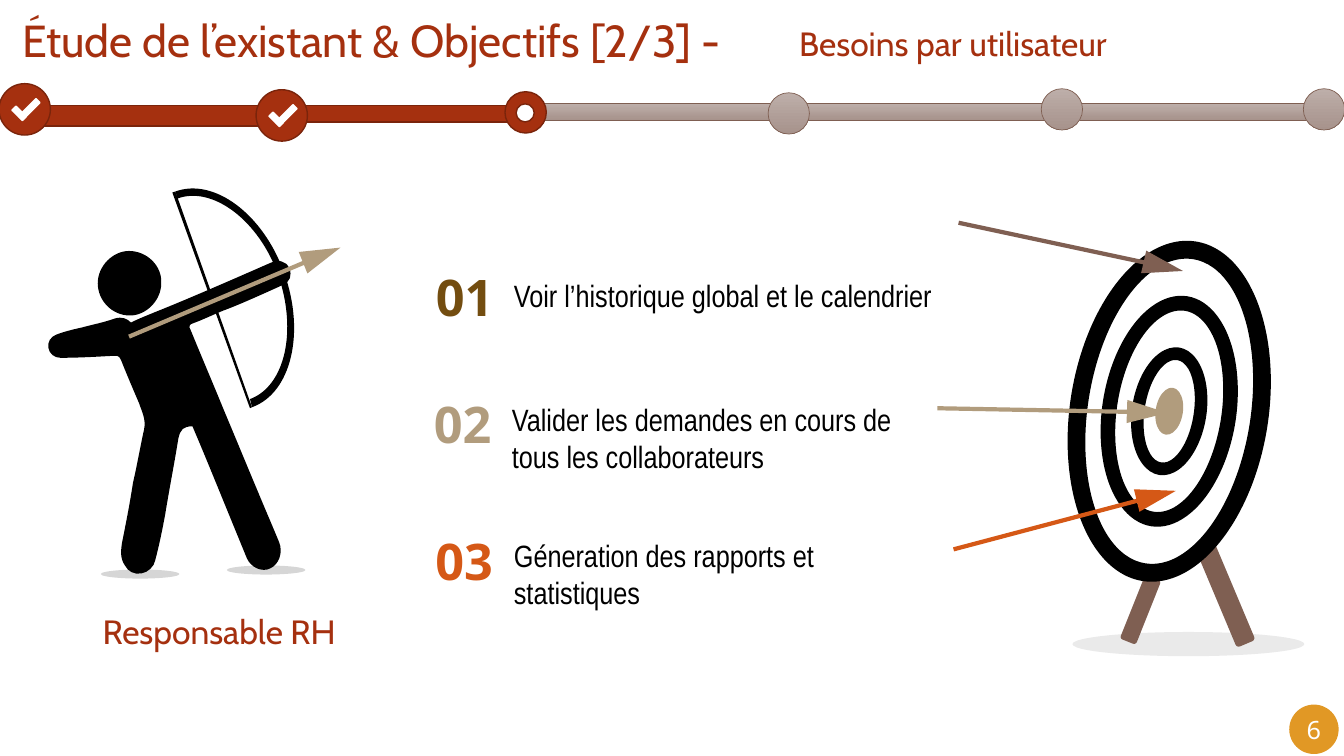
"""Build the slide on human resources manager needs, with an archer, a target and a progress bar."""
from dataclasses import dataclass
from math import atan2, cos, degrees, sin

from pptx import Presentation
from pptx.dml.color import RGBColor
from pptx.enum.shapes import MSO_CONNECTOR, MSO_SHAPE
from pptx.enum.text import MSO_ANCHOR, PP_ALIGN
from pptx.oxml.ns import qn
from pptx.oxml.xmlchemy import OxmlElement
from pptx.util import Inches, Pt

RED, DARK_RED, BROWN, TAN, ORANGE = "A5300F", "7A240B", "7F5F52", "B19C7D", "D55816"
BLACK, WHITE, SHADE = "000000", "FFFFFF", "323232"
GREY_TOP, GREY_BOTTOM = "BDAEA9", "A7938C"


@dataclass(frozen=True)
class Arrow:
    start: tuple[float, float]
    end: tuple[float, float]
    color: str


@dataclass(frozen=True)
class Need:
    number: str
    label: str
    color: str
    number_left: float
    number_top: float
    number_width: float
    label_left: float
    label_top: float
    label_width: float


@dataclass(frozen=True)
class Step:
    left: float
    top: float
    size: float
    state: str


ARCHER_ARROW = Arrow((1.28, 3.34), (3.22, 2.52), TAN)
TARGET_ARROWS = [
    Arrow((9.3, 4.05), (11.41, 4.09), TAN),
    Arrow((9.46, 5.45), (11.5, 4.91), ORANGE),
    Arrow((9.51, 2.21), (11.57, 2.65), BROWN),
]
NEEDS = [
    Need("01", "Voir l’historique global et le calendrier", "734D10", 3.86, 2.59, 1.5, 5, 2.7, 4.62),
    Need("02", "Valider les demandes en cours de tous les collaborateurs", TAN, 3.84, 3.85, 1.5, 4.98, 3.93, 4.23),
    Need("03", "Géneration des rapports et statistiques", ORANGE, 3.96, 5.21, 1.29, 5, 5.28, 4.22),
]
STEPS = [
    Step(-0.01, 0.83, 0.51, "done"),
    Step(2.54, 0.89, 0.51, "done"),
    Step(5.01, 0.91, 0.41, "current"),
    Step(7.62, 0.92, 0.41, "next"),
    Step(10.33, 0.88, 0.41, "next"),
    Step(12.93, 0.88, 0.41, "next"),
]
BODY = [
    (1.91, 4.23), (1.82, 4.23, 1.79, 4.26, 1.77, 4.35), (1.73, 4.6, 1.68, 4.85, 1.64, 5.1),
    (1.61, 5.26, 1.58, 5.41, 1.54, 5.56), (1.53, 5.62, 1.47, 5.68, 1.4, 5.69),
    (1.33, 5.7, 1.27, 5.67, 1.24, 5.61), (1.19, 5.54, 1.2, 5.46, 1.21, 5.39),
    (1.25, 5.19, 1.29, 4.99, 1.32, 4.79), (1.36, 4.62, 1.39, 4.44, 1.43, 4.26),
    (1.45, 4.16, 1.41, 4.09, 1.38, 4), (1.32, 3.86, 1.26, 3.72, 1.2, 3.57),
    (1.18, 3.53, 1.17, 3.53, 1.13, 3.53), (0.95, 3.54, 0.78, 3.55, 0.6, 3.55),
    (0.54, 3.55, 0.49, 3.51, 0.48, 3.45), (0.47, 3.4, 0.5, 3.34, 0.56, 3.32),
    (0.64, 3.29, 0.72, 3.27, 0.81, 3.25), (0.92, 3.22, 1.03, 3.2, 1.14, 3.16),
    (1.21, 3.14, 1.26, 3.16, 1.3, 3.2), (1.38, 3.16, 1.46, 3.13, 1.53, 3.1),
    (1.86, 2.97, 2.36, 2.75, 2.68, 2.61), (2.76, 2.57, 2.84, 2.59, 2.87, 2.66),
    (2.9, 2.73, 2.88, 2.8, 2.8, 2.83), (2.67, 2.89, 2.36, 3.03, 2.22, 3.08),
    (2.12, 3.12, 2.02, 3.17, 1.91, 3.21), (1.88, 3.22, 1.87, 3.24, 1.89, 3.27),
    (2, 3.54, 2.12, 3.82, 2.23, 4.09), (2.34, 4.35, 2.45, 4.62, 2.56, 4.88),
    (2.63, 5.05, 2.7, 5.21, 2.77, 5.38), (2.81, 5.48, 2.77, 5.6, 2.68, 5.64),
    (2.6, 5.68, 2.49, 5.63, 2.45, 5.54), (2.36, 5.32, 2.27, 5.1, 2.18, 4.88),
    (2.09, 4.66, 2, 4.44, 1.91, 4.23),
]
HEAD = [
    (1.6, 2.81), (1.6, 2.98, 1.45, 3.13, 1.29, 3.13), (1.11, 3.13, 0.97, 2.98, 0.97, 2.81),
    (0.97, 2.64, 1.12, 2.49, 1.28, 2.49), (1.46, 2.49, 1.61, 2.64, 1.6, 2.81),
]
BOW = [
    (1.74, 1.9), (1.76, 1.97, 1.76, 1.97, 1.76, 1.97), (2.11, 1.84, 2.57, 2.19, 2.76, 2.73),
    (2.95, 3.28, 2.83, 3.83, 2.48, 3.96), (2.5, 4.04, 2.5, 4.04, 2.5, 4.04),
    (2.89, 3.9, 3.03, 3.3, 2.82, 2.71), (2.61, 2.12, 2.12, 1.76, 1.74, 1.9),
]
BOWSTRING = [(2.48, 4.05), (2.5, 4.04), (1.74, 1.9), (1.71, 1.91), (2.48, 4.05)]


def rgb(color: str) -> RGBColor:
    return RGBColor.from_string(color)


def paint(shape, fill: str, line: str = "", width: float = 1) -> None:
    shape.shadow.inherit = False
    shape.fill.solid()
    shape.fill.fore_color.rgb = rgb(fill)
    if line:
        shape.line.color.rgb = rgb(line)
        shape.line.width = Pt(width)
    else:
        shape.line.fill.background()


def paint_grey(shape) -> None:
    paint(shape, GREY_TOP, BROWN, 0.5)
    shape.fill.gradient()
    shape.fill.gradient_angle = 270
    for stop, color in zip(shape.fill.gradient_stops, (GREY_TOP, GREY_BOTTOM)):
        stop.color.rgb = rgb(color)


def add_shape(page, kind, left: float, top: float, width: float, height: float,
              fill: str, line: str = "", rotation: float = 0):
    shape = page.shapes.add_shape(kind, Inches(left), Inches(top), Inches(width), Inches(height))
    shape.rotation = rotation
    paint(shape, fill, line)
    return shape


def add_ground(page, left: float, top: float, width: float, height: float, opacity: int) -> None:
    ground = add_shape(page, MSO_SHAPE.OVAL, left, top, width, height, SHADE)
    alpha = OxmlElement("a:alpha")
    alpha.set("val", str(opacity * 1000))
    ground.fill._xPr.solidFill.srgbClr.append(alpha)


def add_outline(page, outline: list[tuple]) -> None:
    points = [(Inches(part[i]), Inches(part[i + 1])) for part in outline for i in range(0, len(part), 2)]
    builder = page.shapes.build_freeform(*points[0], scale=1.0)
    builder.add_line_segments(points[1:], close=True)
    shape = builder.convert_to_shape()
    segments = iter(list(shape._element.iter(qn("a:lnTo"))))
    for part in outline[1:]:
        first = next(segments)
        if len(part) == 6:
            curve = OxmlElement("a:cubicBezTo")
            first.addprevious(curve)
            for segment in (first, next(segments), next(segments)):
                curve.append(segment[0])
                segment.getparent().remove(segment)
    paint(shape, BLACK)


def add_arrow(page, arrow: Arrow) -> None:
    (x1, y1), (x2, y2) = arrow.start, arrow.end
    shaft = page.shapes.add_connector(MSO_CONNECTOR.STRAIGHT, Inches(x1), Inches(y1), Inches(x2), Inches(y2))
    shaft.line.color.rgb = rgb(arrow.color)
    shaft.line.width = Pt(3)
    shaft._element.spPr.append(OxmlElement("a:effectLst"))
    angle = atan2(y2 - y1, x2 - x1)
    center_x, center_y = x2 - 0.03 * cos(angle), y2 - 0.03 * sin(angle)
    add_shape(page, MSO_SHAPE.ISOSCELES_TRIANGLE, center_x - 0.115, center_y - 0.2, 0.23, 0.4,
              arrow.color, rotation=degrees(angle) + 90.9)


def write(frame, text: str, size: float, font: str, color: str, align=PP_ALIGN.LEFT, bold: bool = False) -> None:
    frame.word_wrap = True
    para = frame.paragraphs[0]
    para.text = text
    para.alignment = align
    para.font.size, para.font.name, para.font.bold = Pt(size), font, bold
    para.font.color.rgb = rgb(color)


def add_text(page, left: float, top: float, width: float, height: float, *style, **options):
    box = page.shapes.add_textbox(Inches(left), Inches(top), Inches(width), Inches(height))
    write(box.text_frame, *style, **options)
    return box


def add_step(page, step: Step) -> None:
    left, top, size = step.left, step.top, step.size
    disc = add_shape(page, MSO_SHAPE.OVAL if step.state == "done" else MSO_SHAPE.FLOWCHART_CONNECTOR,
                     left, top, size, size, RED, DARK_RED)
    if step.state == "next":
        paint_grey(disc)
    elif step.state == "current":
        add_shape(page, MSO_SHAPE.FLOWCHART_CONNECTOR, left + 0.11, top + 0.12, 0.18, 0.18, WHITE, DARK_RED)
    else:
        add_shape(page, MSO_SHAPE.ROUNDED_RECTANGLE, left + 0.12, top + 0.26, 0.16, 0.07, WHITE, rotation=45)
        add_shape(page, MSO_SHAPE.ROUNDED_RECTANGLE, left + 0.17, top + 0.22, 0.26, 0.07, WHITE, rotation=135)


def add_archer(page) -> None:
    add_ground(page, 1, 5.65, 0.78, 0.09, 20)
    add_ground(page, 2.25, 5.61, 0.78, 0.09, 20)
    for outline in (BODY, HEAD, BOW, BOWSTRING):
        add_outline(page, outline)
    add_arrow(page, ARCHER_ARROW)


def add_target(page) -> None:
    add_ground(page, 10.64, 6.27, 2.3, 0.24, 10)
    add_shape(page, MSO_SHAPE.ROUNDED_RECTANGLE, 12.05, 5.33, 0.2, 1.1, BROWN, rotation=337.2)
    add_shape(page, MSO_SHAPE.ROUNDED_RECTANGLE, 11.23, 5.71, 0.17, 0.68, BROWN, rotation=21.8)
    rings = page.shapes.add_group_shape()
    for width, height, band in ((1.97, 3.41, 0.09), (1.33, 2.31, 0.11), (0.74, 1.28, 0.17), (0.27, 0.47, 0)):
        kind = MSO_SHAPE.DONUT if band else MSO_SHAPE.OVAL
        ring = add_shape(rings, kind, 11.6 - width / 2, 4.08 - height / 2, width, height,
                         BLACK if band else TAN, rotation=8.9)
        if band:
            ring.adjustments[0] = band
    for arrow in TARGET_ARROWS:
        add_arrow(page.shapes.add_group_shape(), arrow)


def add_progress(page) -> None:
    for index in range(3):
        paint_grey(add_shape(page, MSO_SHAPE.FLOWCHART_PROCESS, 5.33 + 2.66 * index, 1.03, 2.38, 0.16, GREY_TOP))
    for left, height in ((0.36, 0.2), (2.8, 0.16)):
        add_shape(page, MSO_SHAPE.FLOWCHART_PROCESS, left, 1.05, 2.38, height, RED, DARK_RED)
    for step in STEPS:
        add_step(page if step.state == "next" else page.shapes.add_group_shape(), step)


def main() -> None:
    deck = Presentation()
    deck.slide_width, deck.slide_height = Inches(40 / 3), Inches(7.5)
    page = deck.slides.add_slide(deck.slide_layouts[6])
    add_archer(page.shapes.add_group_shape())
    add_target(page)
    add_progress(page)
    title = add_text(page, 0.12, 0.07, 8.52, 0.64, "Étude de l’existant & Objectifs [2/3] -", 32, "Cabin", RED)
    title.text_frame.vertical_anchor = MSO_ANCHOR.MIDDLE
    add_text(page, 7.83, 0.18, 3.6, 0.5, "Besoins par utilisateur", 24, "Cabin", RED)
    add_text(page, 0.92, 6.01, 2.78, 0.5, "Responsable RH", 24, "Cabin", RED)
    for need in NEEDS:
        row = page.shapes.add_group_shape()
        add_text(row, need.number_left, need.number_top, need.number_width, 0.71, need.number, 36, "Open Sans",
                 need.color, align=PP_ALIGN.CENTER, bold=True)
        add_text(row, need.label_left, need.label_top, need.label_width, 0.84, need.label, 22, "Arial Narrow", BLACK)
    badge = add_shape(page, MSO_SHAPE.OVAL, 12.79, 6.99, 0.49, 0.49, "E19825")
    write(badge.text_frame, "6", 18, "Noto Sans", WHITE, PP_ALIGN.CENTER)
    badge.text_frame.vertical_anchor = MSO_ANCHOR.MIDDLE
    badge.text_frame.margin_left = badge.text_frame.margin_right = 0
    deck.save("out.pptx")


if __name__ == "__main__":
    main()
